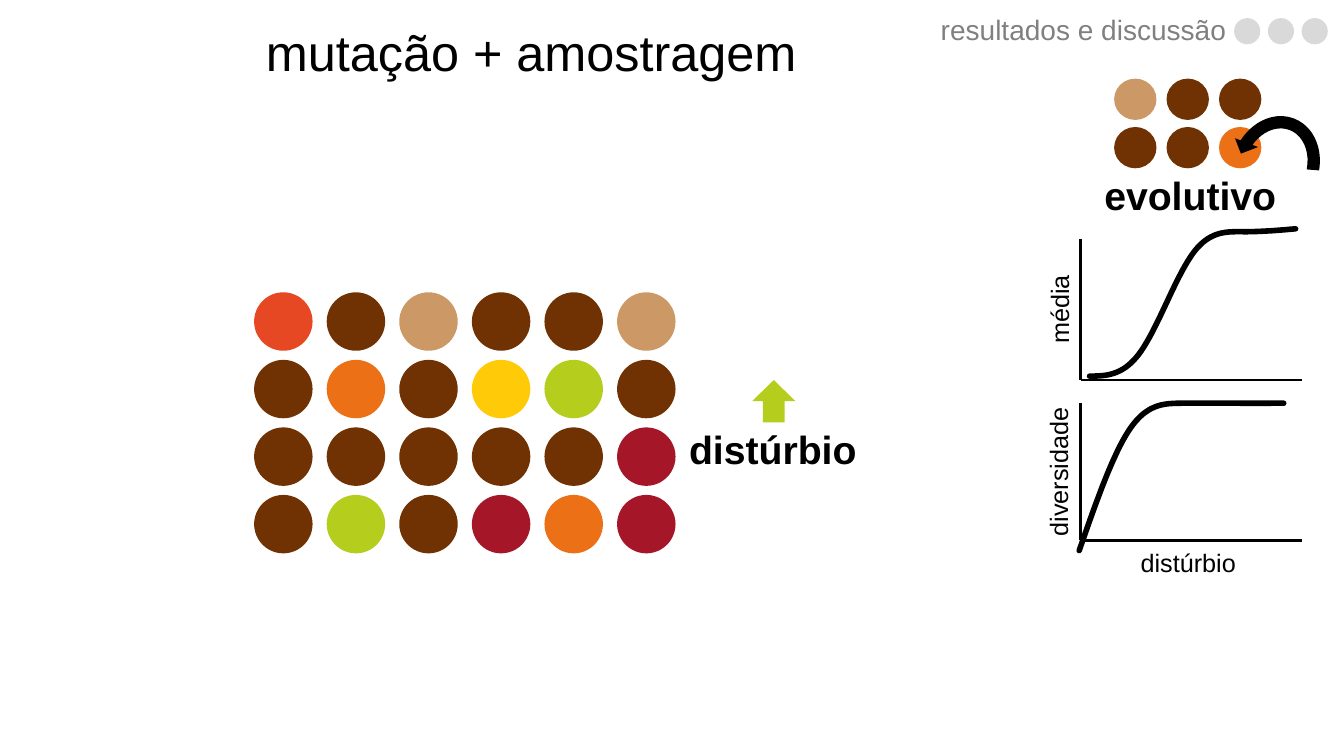
from lxml.etree import SubElement
from pptx import Presentation
from pptx.chart.data import CategoryChartData
from pptx.dml.color import RGBColor
from pptx.enum.chart import XL_CHART_TYPE as ChartType
from pptx.enum.shapes import MSO_CONNECTOR as Connector, MSO_SHAPE as Shape
from pptx.enum.text import MSO_ANCHOR as Anchor, PP_ALIGN as Align
from pptx.oxml import parse_xml
from pptx.oxml.ns import qn
from pptx.util import Inches, Pt

BLACK, GRAY, LIGHT = "000000", "808080", "D9D9D9"
BROWN, TAN, RED, ORANGE = "703103", "CC9966", "E64823", "EC7016"
YELLOW, GREEN, WINE = "FFCA08", "B5CE1E", "A51628"

TITLE = "mutação + amostragem"
SECTION = "resultados e discussão"
COMMUNITY = [
    [RED, BROWN, TAN, BROWN, BROWN, TAN],
    [BROWN, ORANGE, BROWN, YELLOW, GREEN, BROWN],
    [BROWN, BROWN, BROWN, BROWN, BROWN, WINE],
    [BROWN, GREEN, BROWN, WINE, ORANGE, WINE],
]
EVOLUTION_ICON = [[TAN, BROWN, BROWN], [BROWN, BROWN, ORANGE]]
PROGRESS = [[LIGHT] * 3]
STAGES = ["1", "2", "3", "4", "5"]
CURVES = [
    {"values": (0, 17, 83, 98, 100), "frame": (10.47, 1.96, 2.69, 1.8),
     "axis_top": 2.37, "axis_bottom": 3.77,
     "label": "média", "label_frame": (9.52, 2.81, 1.97, 0.52)},
    {"values": (0, 83, 100, 100, 100), "frame": (10.37, 3.69, 2.67, 1.8),
     "axis_top": 4, "axis_bottom": 5.36,
     "label": "diversidade", "label_frame": (9.51, 4.42, 1.97, 0.52)},
]
AXIS_LEFT, AXIS_RIGHT = 10.72, 12.91
ARROW_ADJUSTMENTS = (0.125, 11.42, 204.58, 117.73, 0.125)
PLOT_LAYOUT = {"xMode": "edge", "yMode": "edge", "x": 0.03, "y": 0.01, "w": 0.95, "h": 0.98}


def rgb(color):
    return RGBColor.from_string(color)


def inches(frame):
    return [Inches(length) for length in frame]


def write(box, text, size, color=BLACK, bold=False, align=Align.CENTER, spacing=0.9):
    frame = box.text_frame
    frame.text = text
    frame.word_wrap = True
    frame.vertical_anchor = Anchor.MIDDLE
    paragraph = frame.paragraphs[0]
    paragraph.alignment = align
    paragraph.line_spacing = spacing
    font = paragraph.runs[0].font
    font.name, font.size, font.bold = "Arial", Pt(size), bold
    font.color.rgb = rgb(color)


def add_label(shapes, frame, text, size, **style):
    label = shapes.add_textbox(*inches(frame))
    write(label, text, size, **style)
    return label


def add_solid(shapes, kind, frame, color):
    solid = shapes.add_shape(kind, *inches(frame))
    solid.shadow.inherit = False
    solid.fill.solid()
    solid.fill.fore_color.rgb = rgb(color)
    solid.line.fill.background()
    return solid


def add_dots(shapes, rows, left, top, size, step):
    for row, colors in enumerate(rows):
        for column, color in enumerate(colors):
            place = (left + column * step[0], top + row * step[1])
            add_solid(shapes, Shape.OVAL, (*place, *size), color)


def add_axis(shapes, *ends):
    axis = shapes.add_connector(Connector.STRAIGHT, *inches(ends))
    axis.line.color.rgb = rgb(BLACK)
    axis.line.width = Pt(2)
    SubElement(axis._element.spPr, qn("a:effectLst"))


def add_curve(shapes, values, frame):
    data = CategoryChartData()
    data.categories = STAGES
    data.add_series("Series 1", values)
    chart = shapes.add_chart(ChartType.LINE, *inches(frame), data).chart
    chart.has_legend = chart.has_title = False
    chart.font.name, chart.font.size = "Calibri", Pt(10)
    chart.font.color.rgb = rgb(BLACK)
    chart.value_axis.minimum_scale, chart.value_axis.maximum_scale = 0, 120
    chart.value_axis.has_major_gridlines = False
    chart.category_axis.visible = chart.value_axis.visible = False
    plot = chart.plots[0]
    plot.vary_by_categories = False
    series = plot.series[0]
    series.smooth = True
    series.format.line.color.rgb = rgb(BLACK)
    series.format.line.width = Pt(4)
    series._element.find(".//" + qn("a:ln")).set("cap", "rnd")
    area = chart._chartSpace.chart.plotArea
    for old_layout in area.findall(qn("c:layout")):
        area.remove(old_layout)
    layout = parse_xml('<c:layout xmlns:c="http://schemas.openxmlformats.org/drawingml/2006/chart"/>')
    manual = SubElement(layout, qn("c:manualLayout"))
    SubElement(manual, qn("c:layoutTarget")).set("val", "inner")
    for key, value in PLOT_LAYOUT.items():
        SubElement(manual, qn("c:" + key)).set("val", str(value))
    area.insert(0, layout)


def main():
    deck = Presentation()
    deck.slide_width, deck.slide_height = Inches(13.33), Inches(7.5)
    slide = deck.slides.add_slide(deck.slide_layouts[5])
    shapes = slide.shapes

    title = shapes.title
    title.left, title.top, title.width, title.height = inches((1.49, 0.21, 7.56, 0.67))
    write(title, TITLE, 36)

    icon = shapes.add_group_shape().shapes
    add_dots(icon, EVOLUTION_ICON, 11.05, 0.78, (0.42, 0.41), (0.52, 0.48))
    mutation = add_solid(icon, Shape.CIRCULAR_ARROW, (12.16, 1.08, 0.98, 1.15), BLACK)
    for index, value in enumerate(ARROW_ADJUSTMENTS):
        mutation.adjustments[index] = value
    mutation.rotation = 200.9
    mutation._element.spPr.xfrm.set("flipV", "1")
    add_label(shapes, (10.42, 1.24, 2.77, 1.45), "evolutivo", 28, bold=True)

    for curve in CURVES:
        top, bottom = curve["axis_top"], curve["axis_bottom"]
        add_curve(shapes, curve["values"], curve["frame"])
        add_axis(shapes, AXIS_LEFT, bottom, AXIS_RIGHT, bottom)
        add_axis(shapes, AXIS_LEFT, top, AXIS_LEFT, bottom)
        label = add_label(shapes, curve["label_frame"], curve["label"], 18, spacing=1.0)
        label.rotation = 270
    add_label(shapes, (10.8, 5.32, 1.97, 0.52), "distúrbio", 18, spacing=1.0)

    header = shapes.add_group_shape().shapes
    add_label(header, (7.78, 0.08, 4.48, 0.47), SECTION, 20, color=GRAY, align=Align.RIGHT)
    add_dots(header, PROGRESS, 12.24, 0.18, (0.26, 0.26), (0.335, 0))

    add_dots(shapes, COMMUNITY, 2.52, 2.9, (0.58, 0.58), (0.72, 0.67))
    add_label(shapes, (6.28, 3.76, 2.77, 1.45), "distúrbio", 28, bold=True)
    add_solid(shapes, Shape.UP_ARROW, (7.46, 3.77, 0.43, 0.42), GREEN)

    deck.save("out.pptx")


if __name__ == "__main__":
    main()
